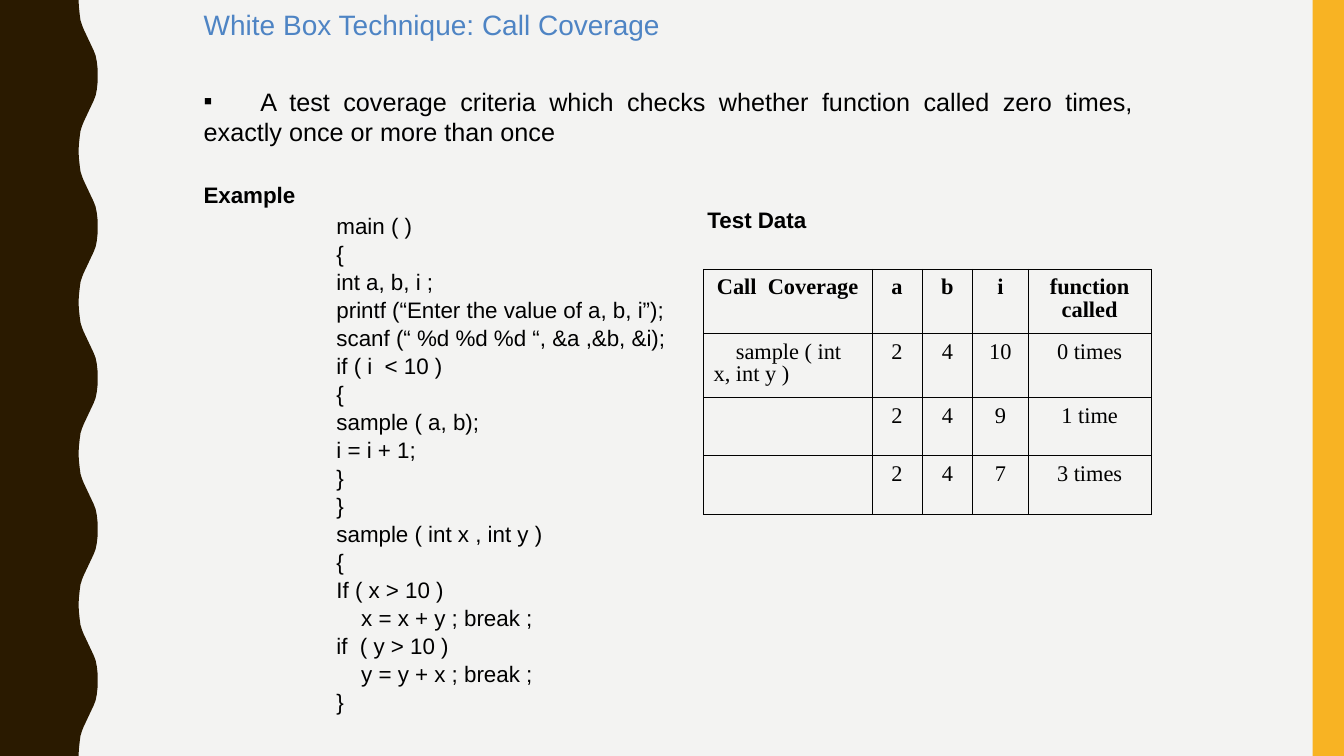
from dataclasses import dataclass

from lxml import etree
from pptx import Presentation
from pptx.dml.color import RGBColor
from pptx.enum.shapes import MSO_SHAPE
from pptx.enum.text import MSO_ANCHOR, MSO_AUTO_SIZE, PP_ALIGN
from pptx.oxml.ns import qn
from pptx.util import Cm, Pt

RECTANGLE = MSO_SHAPE.RECTANGLE
MIDDLE, TOP = MSO_ANCHOR.MIDDLE, MSO_ANCHOR.TOP
LEFT, CENTER, JUSTIFY = PP_ALIGN.LEFT, PP_ALIGN.CENTER, PP_ALIGN.JUSTIFY
NO_AUTOFIT = MSO_AUTO_SIZE.NONE

PAPER = RGBColor(0xF3, 0xF3, 0xF2)
BROWN = RGBColor(0x2A, 0x1A, 0x00)
AMBER = RGBColor(0xF8, 0xB3, 0x23)
BLUE = RGBColor(0x4E, 0x84, 0xC4)
BLACK = RGBColor(0x00, 0x00, 0x00)

TITLE_FONT = {"name": "Arial", "size": Pt(20), "bold": False}
BODY_FONT = {"name": "Arial", "size": Pt(18), "bold": False}
LABEL_FONT = {"name": "Arial", "size": Pt(16), "bold": True}
CODE_FONT = {"name": "Arial", "size": Pt(16), "bold": False}
HEADER_FONT = {"name": "Times New Roman", "size": Pt(16), "bold": True}
CELL_FONT = {"name": "Times New Roman", "size": Pt(16), "bold": False}

CODE = """main ( )
{
int a, b, i ;
printf (“Enter the value of a, b, i”);
scanf (“ %d %d %d “, &a ,&b, &i);
if ( i  < 10 )
{
sample ( a, b);
i = i + 1;
}
}
sample ( int x , int y )
{
If ( x > 10 )
    x = x + y ; break ;
if  ( y > 10 )
    y = y + x ; break ;
}"""

TEST_DATA = [
    ["Call  Coverage", "a", "b", "i", "function called"],
    ["sample ( int x, int y )", "2", "4", "10", "0 times"],
    ["", "2", "4", "9", "1 time"],
    ["", "2", "4", "7", "3 times"],
]
COLUMN_WIDTHS = [4.24, 1.27, 1.27, 1.4, 3.1]
ROW_HEIGHTS = [1.62, 1.62, 1.45, 1.5]

# Half a wave, from trough to crest, in centimetres
HALF_WAVE = [(1.98, 0), (1.99, 0.18), (2.01, 0.36), (2.03, 0.51), (2.07, 0.64),
             (2.11, 0.74), (2.36, 1.27), (2.41, 1.4), (2.44, 1.55), (2.46, 1.73),
             (2.46, 1.9)]
WAVE_LENGTH = 3.81
WAVE_COUNT = 5


@dataclass
class Box:
    left: float
    top: float
    width: float
    height: float

    def lengths(self) -> tuple:
        return tuple(Cm(v) for v in (self.left, self.top, self.width, self.height))


@dataclass
class Label:
    text: str
    box: Box


LABELS = [Label("Example", Box(4.88, 4.45, 2.84, 0.94)),
          Label("Test Data", Box(17.58, 5.08, 3.61, 0.94))]


def write(p, text: str, font: dict, color: RGBColor = BLACK, align=LEFT) -> None:
    p.alignment = align
    r = p.add_run()
    r.text = text
    for name, value in font.items():
        setattr(r.font, name, value)
    r.font.color.rgb = color


def paint(sp, color: RGBColor) -> None:
    sp.shadow.inherit = False
    sp.fill.solid()
    sp.fill.fore_color.rgb = color
    sp.line.fill.background()


def place(sp, box: Box, anchor):
    """Move a text shape and return its text frame, set to wrap."""
    sp.left, sp.top, sp.width, sp.height = box.lengths()
    tf = sp.text_frame
    tf.word_wrap = True
    tf.auto_size = NO_AUTOFIT
    tf.vertical_anchor = anchor
    return tf


def add_bullet(p, char: str, tab: float) -> None:
    """Give a flush-left bullet whose first line starts at a tab stop."""
    pPr = p._p.get_or_add_pPr()
    pPr.set("marL", "0")
    pPr.set("indent", "0")
    etree.SubElement(pPr, qn("a:buFont"), typeface="Arial")
    etree.SubElement(pPr, qn("a:buChar"), char=char)
    stops = etree.SubElement(pPr, qn("a:tabLst"))
    etree.SubElement(stops, qn("a:tab"), pos=str(Cm(tab)), algn="l")


def add_borders(cell) -> None:
    tcPr = cell._tc.get_or_add_tcPr()
    for i, side in enumerate(("a:lnL", "a:lnR", "a:lnT", "a:lnB")):
        ln = etree.Element(qn(side), w=str(Pt(0.45)))
        fill = etree.SubElement(ln, qn("a:solidFill"))
        etree.SubElement(fill, qn("a:srgbClr"), val=str(BLACK))
        tcPr.insert(i, ln)


def add_wavy_edge(slide, height: float) -> None:
    half = WAVE_LENGTH / 2
    rising = [(x, WAVE_LENGTH - y) for x, y in reversed(HALF_WAVE)]
    wave = HALF_WAVE[:-1] + [(HALF_WAVE[-1][0], half)] + rising[1:-1]
    edge = [(x, y + n * WAVE_LENGTH) for n in range(WAVE_COUNT) for x, y in wave]
    edge += [(HALF_WAVE[0][0], height), (0, height)]
    builder = slide.shapes.build_freeform(0, 0)
    builder.add_line_segments([(Cm(x), Cm(y)) for x, y in edge], close=True)
    paint(builder.convert_to_shape(), BROWN)


def add_code(slide, box: Box) -> None:
    tf = place(slide.shapes.add_textbox(*box.lengths()), box, TOP)
    for i, line in enumerate(CODE.split("\n")):
        p = tf.paragraphs[0] if i == 0 else tf.add_paragraph()
        p._p.get_or_add_pPr().set("marL", str(Cm(1.25)))
        p.line_spacing = 0.5
        p.space_before = Pt(10.4 if i else 0)
        write(p, line, CODE_FONT)


def add_test_table(slide, box: Box) -> None:
    table = slide.shapes.add_table(len(ROW_HEIGHTS), len(COLUMN_WIDTHS),
                                   *box.lengths()).table
    table.first_row = table.horz_banding = False
    for column, width in zip(table.columns, COLUMN_WIDTHS):
        column.width = Cm(width)
    for i, (row, height) in enumerate(zip(table.rows, ROW_HEIGHTS)):
        row.height = Cm(height)
        for j, cell in enumerate(row.cells):
            cell.fill.background()
            cell.margin_top = Cm(0.2)
            add_borders(cell)
            text = TEST_DATA[i][j]
            if not text:
                continue
            p = cell.text_frame.paragraphs[0]
            p.line_spacing = 0.9
            is_call = i > 0 and j == 0
            if is_call:
                p._p.get_or_add_pPr().set("indent", str(Cm(0.56)))
            write(p, text, CELL_FONT if i else HEADER_FONT,
                  align=LEFT if is_call else CENTER)


def main() -> None:
    prs = Presentation()
    prs.slide_width, prs.slide_height = Cm(33.87), Cm(19.05)
    slide = prs.slides.add_slide(prs.slide_layouts[1])
    slide.background.fill.solid()
    slide.background.fill.fore_color.rgb = PAPER

    add_wavy_edge(slide, 19.05)
    band = Box(33.08, 0, 0.79, 19.05)
    paint(slide.shapes.add_shape(RECTANGLE, *band.lengths()), AMBER)

    tf = place(slide.shapes.title, Box(4.88, 0.2, 18.42, 0.84), MIDDLE)
    write(tf.paragraphs[0], "White Box Technique: Call Coverage", TITLE_FONT, BLUE)

    tf = place(slide.placeholders[1], Box(4.88, 2.03, 23.93, 1.8), MIDDLE)
    p = tf.paragraphs[0]
    add_bullet(p, "▪", 1.43)
    p.space_before = Pt(0)
    write(p, "\tA test coverage criteria which checks whether function called "
             "zero times, exactly once or more than once", BODY_FONT, align=JUSTIFY)

    for label in LABELS:
        sp = slide.shapes.add_textbox(*label.box.lengths())
        write(place(sp, label.box, TOP).paragraphs[0], label.text, LABEL_FONT)

    add_code(slide, Box(6.98, 5.51, 10.36, 12.52))
    add_test_table(slide, Box(17.73, 6.78, 11.28, 6.19))
    prs.save("out.pptx")


if __name__ == "__main__":
    main()
